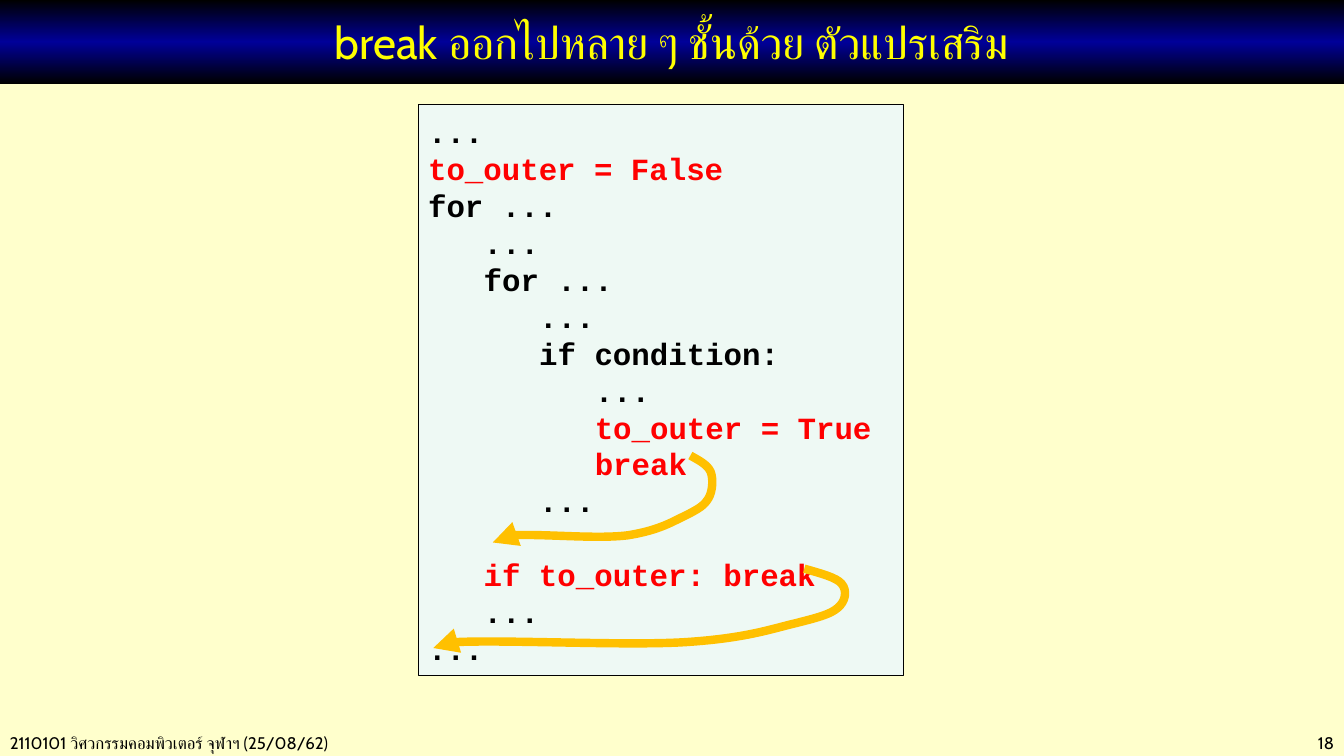
"""Build the slide on leaving nested loops with a flag variable."""
from copy import deepcopy

from lxml.etree import SubElement
from pptx import Presentation
from pptx.dml.color import RGBColor
from pptx.enum.shapes import MSO_SHAPE
from pptx.enum.text import MSO_ANCHOR, PP_ALIGN
from pptx.oxml.ns import qn
from pptx.util import Cm, Pt

COLORS = {
    "page": "FFFFCC", "band_edge": "000000", "band_middle": "000099", "title": "FFFF00",
    "panel": "EEF9F4", "text": "000000", "flag": "FF0000", "arrow": "FFC000",
}
TITLE = "break ออกไปหลาย ๆ ชั้นด้วย ตัวแปรเสริม"
FOOTERS = [
    ("2110101 วิศวกรรมคอมพิวเตอร์ จุฬาฯ (25/08/62)", 0, 13.21, PP_ALIGN.LEFT),
    ("18", 29.21, 4.66, PP_ALIGN.RIGHT),
]
# (depth, line, colour, blank rows above)
CODE = [
    (0, "...", "text", 0),
    (0, "to_outer = False", "flag", 0),
    (0, "for ...", "text", 0),
    (1, "...", "text", 0),
    (1, "for ...", "text", 0),
    (2, "...", "text", 0),
    (2, "if condition:", "text", 0),
    (3, "...", "text", 0),
    (3, "to_outer = True", "flag", 0),
    (3, "break", "flag", 0),
    (2, "...", "text", 0),
    (1, "if to_outer: break", "flag", 1),
    (1, "...", "text", 0),
    (0, "...", "text", 0),
]
JUMPS = [
    [(17.4, 11.48),
     (17.63, 11.61), (17.83, 11.71), (17.91, 11.89),
     (17.98, 12.07), (17.96, 12.37), (17.86, 12.55),
     (17.75, 12.73), (17.65, 12.8), (17.3, 12.98),
     (16.97, 13.13), (16.64, 13.36), (15.82, 13.49),
     (15.01, 13.59), (12.12, 13.31), (12.42, 13.67)],
    [(20.27, 14.33),
     (20.68, 14.45), (21.08, 14.55), (21.21, 14.71),
     (21.36, 14.88), (21.31, 15.16), (21.11, 15.32),
     (20.93, 15.47), (20.7, 15.54), (20.07, 15.7),
     (19.43, 15.85), (18.82, 16.08), (17.3, 16.18),
     (15.77, 16.28), (10.34, 16), (10.92, 16.33)],
]
WIDTH, HEIGHT = Cm(33.87), Cm(19.05)
ROW, INDENT = Pt(26.4), Cm(1.4)


def rgb(name):
    """Return the named colour."""
    return RGBColor.from_string(COLORS[name])


def write(paragraph, text, *, size=12, font="Cabin", color="text", bold=False,
          align=PP_ALIGN.LEFT, depth=0, row=None, above=0):
    """Put formatted text into a paragraph."""
    run = paragraph.add_run()
    run.text = text
    run.font.size, run.font.name, run.font.bold = Pt(size), font, bold
    run.font.color.rgb = rgb(color)
    SubElement(run.font._element, qn("a:cs"), typeface=font)
    paragraph.alignment = align
    paragraph.space_before = Pt(above)
    if row:
        paragraph.line_spacing = row
    if depth:
        paragraph._p.get_or_add_pPr().set("marL", str(depth * INDENT))


def add_title(slide):
    """Fill the title band."""
    band = slide.shapes.title
    band.left, band.top, band.width, band.height = 0, 0, WIDTH, Cm(2.11)
    band.fill.gradient()
    band.fill.gradient_angle = 90
    first = next(band._element.spPr.iter(qn("a:gs")))
    first.addnext(deepcopy(first))
    names = ("band_edge", "band_middle", "band_edge")
    for index, (stop, name) in enumerate(zip(band.fill.gradient_stops, names)):
        stop.position = index / 2
        stop.color.rgb = rgb(name)
    band.text_frame.vertical_anchor = MSO_ANCHOR.MIDDLE
    write(band.text_frame.paragraphs[0], TITLE, size=32, color="title", align=PP_ALIGN.CENTER)


def add_code(slide):
    """Draw the code panel."""
    panel = slide.shapes.add_shape(MSO_SHAPE.RECTANGLE, Cm(10.54), Cm(2.64), Cm(12.24), Cm(14.38))
    panel.shadow.inherit = False
    panel.fill.solid()
    panel.fill.fore_color.rgb = rgb("panel")
    panel.line.color.rgb = rgb("text")
    panel.line.width = Pt(0.75)
    frame = panel.text_frame
    frame.word_wrap = True
    frame.vertical_anchor = MSO_ANCHOR.TOP
    frame.margin_left = frame.margin_right = Cm(0.25)
    frame.margin_top, frame.margin_bottom = Cm(0.2), Cm(0.13)
    for index, (depth, line, color, blank) in enumerate(CODE):
        paragraph = frame.add_paragraph() if index else frame.paragraphs[0]
        write(paragraph, line, size=22, font="Courier New", color=color, bold=True,
              depth=depth, row=ROW, above=blank * ROW.pt)


def add_jump(slide, points):
    """Draw a curved arrow through cubic segments."""
    start, *rest = [(Cm(x), Cm(y)) for x, y in points]
    builder = slide.shapes.build_freeform(*start)
    builder.add_line_segments(rest, close=False)
    jump = builder.convert_to_shape()
    jump.shadow.inherit = False
    jump.fill.background()
    jump.line.color.rgb = rgb("arrow")
    jump.line.width = Pt(6)
    SubElement(jump.line._get_or_add_ln(), qn("a:tailEnd"), type="triangle")
    segments = list(jump._element.spPr.iter(qn("a:lnTo")))
    outline = segments[0].getparent()
    for index in range(0, len(segments), 3):
        curve = SubElement(outline, qn("a:cubicBezTo"))
        for segment in segments[index:index + 3]:
            curve.append(segment[0])
            outline.remove(segment)


def main():
    """Assemble and save the slide."""
    deck = Presentation()
    deck.slide_width, deck.slide_height = WIDTH, HEIGHT
    slide = deck.slides.add_slide(deck.slide_layouts[5])
    slide.background.fill.solid()
    slide.background.fill.fore_color.rgb = rgb("page")
    for text, left, width, align in FOOTERS:
        footer = slide.shapes.add_textbox(Cm(left), Cm(18.34), Cm(width), Cm(0.76)).text_frame
        footer.word_wrap = True
        footer.vertical_anchor = MSO_ANCHOR.MIDDLE
        write(footer.paragraphs[0], text, align=align)
    add_title(slide)
    add_code(slide)
    for points in JUMPS:
        add_jump(slide, points)
    deck.save("out.pptx")


if __name__ == "__main__":
    main()
